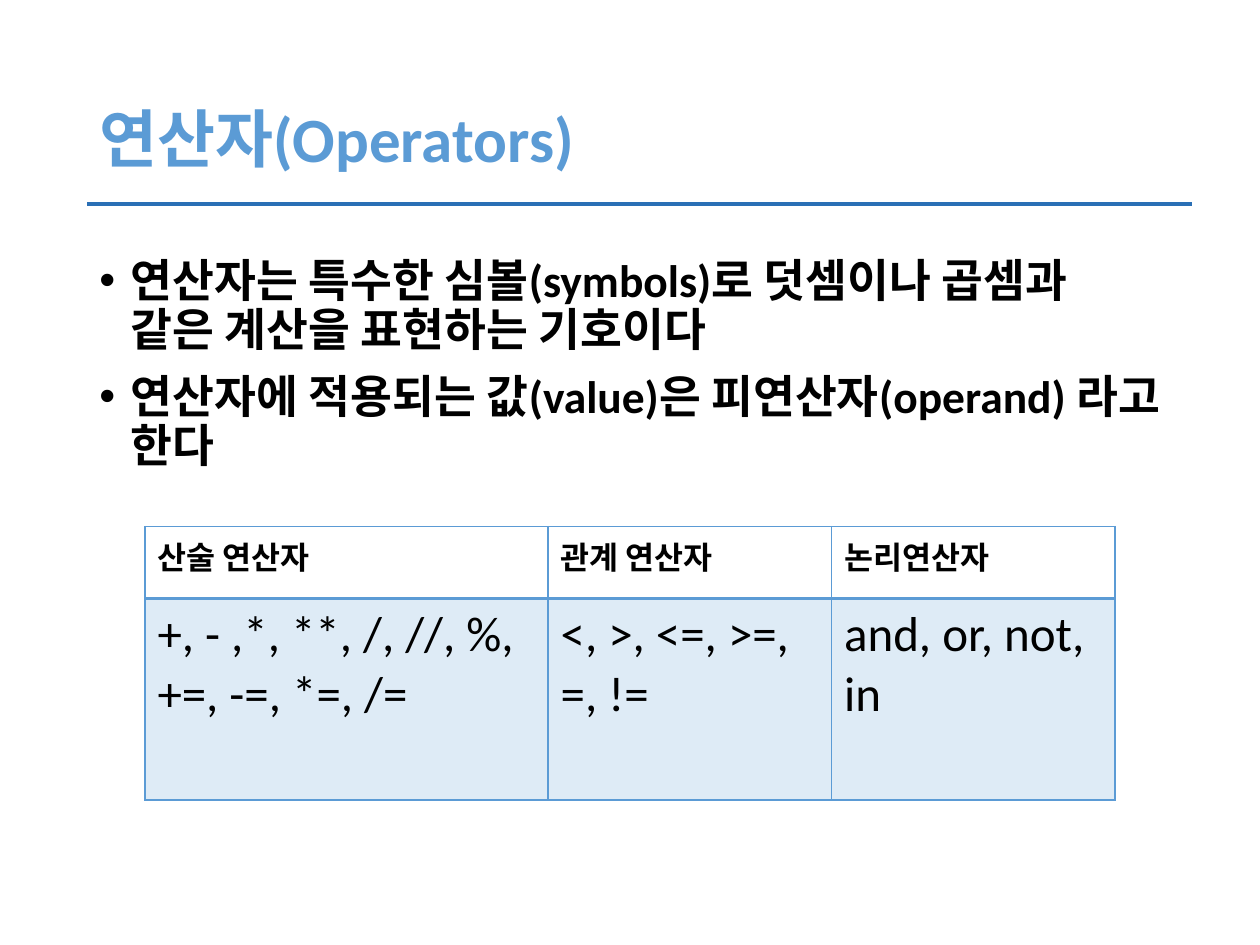
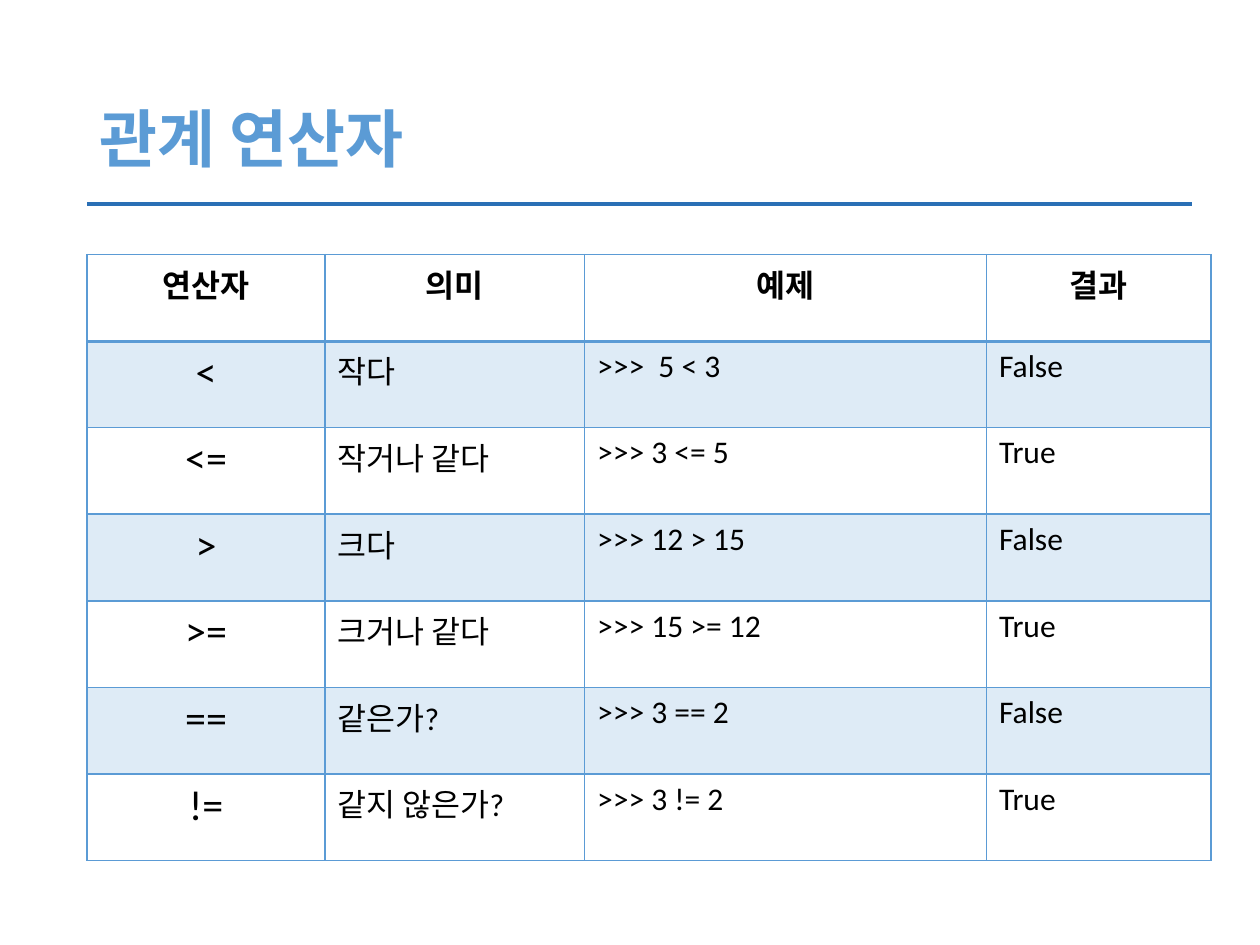
import pptx
import pptx.dml.color
import pptx.enum.shapes
import pptx.enum.text
import pptx.oxml
import pptx.oxml.ns
import pptx.util

WIDTH, HEIGHT = 10, 7.5
LEFT, TEXT_WIDTH = 0.69, 8.62
FONT = "Calibri"
COLORS = {"title": "5B9BD5", "rule": "2A6FB5", "grid": "5B9BD5", "text": "000000"}
BAND_OPACITY = 20
THIN, THICK = 1, 2
CENTER = pptx.enum.text.PP_ALIGN.CENTER
MIDDLE = pptx.enum.text.MSO_ANCHOR.MIDDLE
inch = pptx.util.Inches


def color(name):
    return pptx.dml.color.RGBColor.from_string(COLORS[name])


def add_xml(parent, xml, index=None):
    """Put a drawing element into parent, at the end unless an index is given."""
    tag, rest = xml[1:].split(" ", 1)
    namespace = pptx.oxml.ns.nsdecls("a")
    element = pptx.oxml.parse_xml(f"<{tag} {namespace} {rest}")
    parent.insert(len(parent) if index is None else index, element)


def write(para, text, size=18, bold=False, ink="text", align=None):
    span = para.add_run()
    span.text = text
    span.font.name = FONT
    span.font.size = pptx.util.Pt(size)
    span.font.bold = bold
    span.font.color.rgb = color(ink)
    para.alignment = align


def add_text(page, top, height, lines, anchor=None, bullets=False, **style):
    box = page.shapes.add_textbox(inch(LEFT), inch(top), inch(TEXT_WIDTH), inch(height))
    frame = box.text_frame
    frame.word_wrap = True
    frame.vertical_anchor = anchor
    for number, line in enumerate(lines):
        para = frame.add_paragraph() if number else frame.paragraphs[0]
        para.line_spacing = 0.9
        write(para, line, **style)
        if bullets:
            para.space_before = pptx.util.Pt(10)
            properties = para._p.get_or_add_pPr()
            properties.set("marL", str(inch(0.25)))
            properties.set("indent", str(-inch(0.25)))
            add_xml(properties, '<a:buFont typeface="Arial"/>')
            add_xml(properties, '<a:buChar char="•"/>')


def add_rule(page):
    rule = page.shapes.add_connector(
        pptx.enum.shapes.MSO_CONNECTOR.STRAIGHT,
        inch(9.46), inch(1.62), inch(LEFT), inch(1.62))
    rule.line.color.rgb = color("rule")
    rule.line.width = pptx.util.Pt(2.25)
    add_xml(rule._element.spPr, "<a:effectLst />")


def paint_cell(cell, row):
    """Shade every odd row and draw a thick line under the header row."""
    properties = cell._tc.get_or_add_tcPr()
    if row % 2:
        cell.fill.solid()
        cell.fill.fore_color.rgb = color("grid")
        shade = properties.find(".//" + pptx.oxml.ns.qn("a:srgbClr"))
        add_xml(shade, f'<a:alpha val="{BAND_OPACITY * 1000}"/>')
    else:
        cell.fill.background()
    widths = {"L": THIN, "R": THIN,
              "T": THICK if row == 1 else THIN,
              "B": THICK if row == 0 else THIN}
    for index, (side, width) in enumerate(widths.items()):
        add_xml(properties,
                f'<a:ln{side} w="{pptx.util.Pt(width)}"><a:solidFill>'
                f'<a:srgbClr val="{COLORS["grid"]}"/></a:solidFill></a:ln{side}>', index)


def add_grid(page, left, top, columns, heights, rows, cell_style):
    """Add a table; cell_style(row, column) gives the text format of a cell."""
    table = page.shapes.add_table(
        len(rows), len(columns), inch(left), inch(top),
        inch(sum(columns)), inch(sum(heights))).table
    table.first_row = table.horz_banding = False
    for column, width in zip(table.columns, columns):
        column.width = inch(width)
    for row, (height, texts) in enumerate(zip(heights, rows)):
        table.rows[row].height = inch(height)
        for column, text in enumerate(texts):
            cell = table.cell(row, column)
            write(cell.text_frame.paragraphs[0], text, **cell_style(row, column))
            paint_cell(cell, row)


def add_page(deck, title):
    page = deck.slides.add_slide(deck.slide_layouts[6])
    add_text(page, 0.4, 1.45, [title], anchor=MIDDLE, size=36, bold=True, ink="title")
    add_rule(page)
    return page


def operator_kind_style(row, column):
    return {"size": 28} if row else {"bold": True}


def comparison_style(row, column):
    if row == 0:
        return {"bold": True, "align": CENTER}
    return {"size": 24, "align": CENTER} if column == 0 else {}


def main():
    deck = pptx.Presentation()
    deck.slide_width, deck.slide_height = inch(WIDTH), inch(HEIGHT)

    page = add_page(deck, "연산자(Operators)")
    add_text(page, 2, 4.76, [
        "연산자는 특수한 심볼(symbols)로 덧셈이나 곱셈과 같은 계산을 표현하는 기호이다",
        "연산자에 적용되는 값(value)은 피연산자(operand) 라고 한다",
    ], bullets=True, size=26, bold=True)
    add_grid(page, 1.15, 4.18, [3.2, 2.25, 2.25], [0.57, 1.6], [
        ["산술 연산자", "관계 연산자", "논리연산자"],
        ["+, - ,*, **, /, //, %, +=, -=, *=, /=", "<, >, <=, >=,  =, !=", "and, or, not, in"],
    ], operator_kind_style)

    comparisons = [
        ["연산자", "의미", "예제", "결과"],
        ["<", "작다", ">>>  5 < 3", "False"],
        ["<=", "작거나 같다", ">>> 3 <= 5", "True"],
        [">", "크다", ">>> 12 > 15", "False"],
        [">=", "크거나 같다", ">>> 15 >= 12", "True"],
        ["==", "같은가?", ">>> 3 == 2", "False"],
        ["!=", "같지 않은가?", ">>> 3 != 2", "True"],
    ]
    page = add_page(deck, "관계 연산자")
    add_grid(page, LEFT, 2.02, [1.89, 2.06, 3.19, 1.78],
             [4.81 / len(comparisons)] * len(comparisons), comparisons, comparison_style)

    deck.save("out.pptx")


if __name__ == "__main__":
    main()
